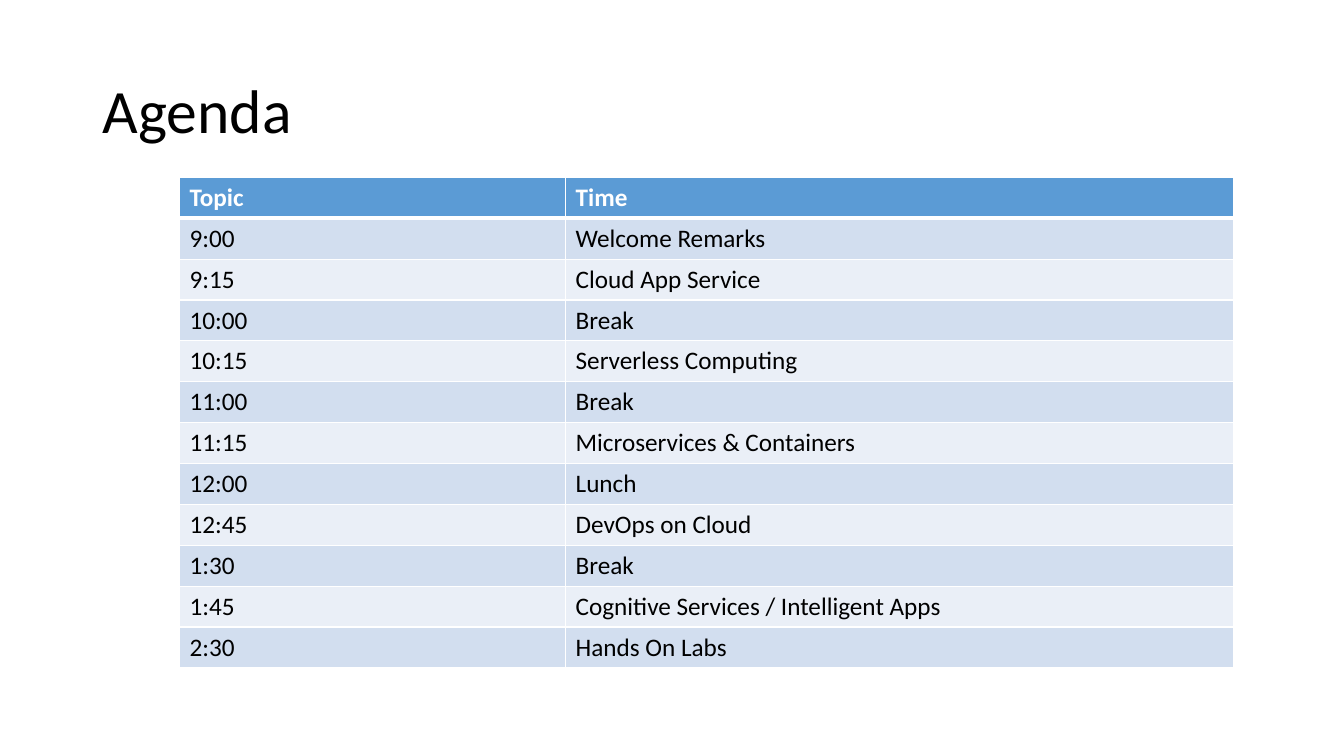
from dataclasses import dataclass

from lxml import etree
from pptx import Presentation
from pptx.dml.color import RGBColor
from pptx.enum.text import MSO_ANCHOR, PP_ALIGN
from pptx.oxml.ns import qn
from pptx.util import Inches, Pt

LEFT = PP_ALIGN.LEFT
TOP = MSO_ANCHOR.TOP
MIDDLE = MSO_ANCHOR.MIDDLE
TITLE_ONLY = 5

TITLE = "Agenda"
HEADER = ("Topic", "Time")
SESSIONS = [
    ("9:00", "Welcome Remarks"),
    ("9:15", "Cloud App Service"),
    ("10:00", "Break"),
    ("10:15", "Serverless Computing"),
    ("11:00", "Break"),
    ("11:15", "Microservices & Containers"),
    ("12:00", "Lunch"),
    ("12:45", "DevOps on Cloud"),
    ("1:30", "Break"),
    ("1:45", "Cognitive Services / Intelligent Apps"),
    ("2:30", "Hands On Labs"),
]
COLUMN_WIDTHS = (3.83, 6.63)
TABLE_LEFT, TABLE_TOP, TABLE_HEIGHT = 1.78, 1.76, 4.87


@dataclass(frozen=True)
class Theme:
    font: str = "Calibri"
    title_size: int = 44
    body_size: int = 18
    text: str = "000000"
    white: str = "FFFFFF"
    header: str = "5B9BD5"
    bands: tuple = ("D2DEEF", "EAEFF7")
    rule: int = 1
    header_rule: int = 3


THEME = Theme()


def write(frame, text, *, size, color=THEME.text, bold=False, spacing=1.0):
    para = frame.paragraphs[0]
    para.alignment = LEFT
    para.line_spacing = spacing
    span = para.add_run()
    span.text = text
    span.font.name = THEME.font
    span.font.size = Pt(size)
    span.font.bold = bold
    span.font.color.rgb = RGBColor.from_string(color)


def set_borders(cell, top, bottom):
    """Draw white borders; widths are in points."""
    properties = cell._tc.get_or_add_tcPr()
    widths = {"lnL": THEME.rule, "lnR": THEME.rule, "lnT": top, "lnB": bottom}
    for index, (side, width) in enumerate(widths.items()):
        line = etree.Element(qn(f"a:{side}"), w=str(Pt(width)))
        fill = etree.SubElement(line, qn("a:solidFill"))
        etree.SubElement(fill, qn("a:srgbClr"), val=THEME.white)
        properties.insert(index, line)


def add_title(page):
    box = page.shapes.title
    box.left, box.top = Inches(0.92), Inches(0.4)
    box.width, box.height = Inches(11.5), Inches(1.45)
    box.text_frame.vertical_anchor = MIDDLE
    box.text_frame.word_wrap = True
    write(box.text_frame, TITLE, size=THEME.title_size, spacing=0.9)


def add_agenda(page):
    rows = [HEADER, *SESSIONS]
    table = page.shapes.add_table(
        len(rows), len(HEADER), Inches(TABLE_LEFT), Inches(TABLE_TOP),
        Inches(sum(COLUMN_WIDTHS)), Inches(TABLE_HEIGHT)).table
    for column, width in zip(table.columns, COLUMN_WIDTHS):
        column.width = Inches(width)
    for row_index, texts in enumerate(rows):
        is_header = row_index == 0
        fill = THEME.header if is_header else THEME.bands[(row_index - 1) % 2]
        color = THEME.white if is_header else THEME.text
        top = THEME.header_rule if row_index == 1 else THEME.rule
        bottom = THEME.header_rule if is_header else THEME.rule
        for column_index, text in enumerate(texts):
            cell = table.cell(row_index, column_index)
            cell.vertical_anchor = TOP
            cell.fill.solid()
            cell.fill.fore_color.rgb = RGBColor.from_string(fill)
            set_borders(cell, top, bottom)
            write(cell.text_frame, text, size=THEME.body_size, color=color, bold=is_header)


def main():
    deck = Presentation()
    deck.slide_width, deck.slide_height = Inches(13.33), Inches(7.5)
    page = deck.slides.add_slide(deck.slide_layouts[TITLE_ONLY])
    add_title(page)
    add_agenda(page)
    deck.save("out.pptx")


if __name__ == "__main__":
    main()
